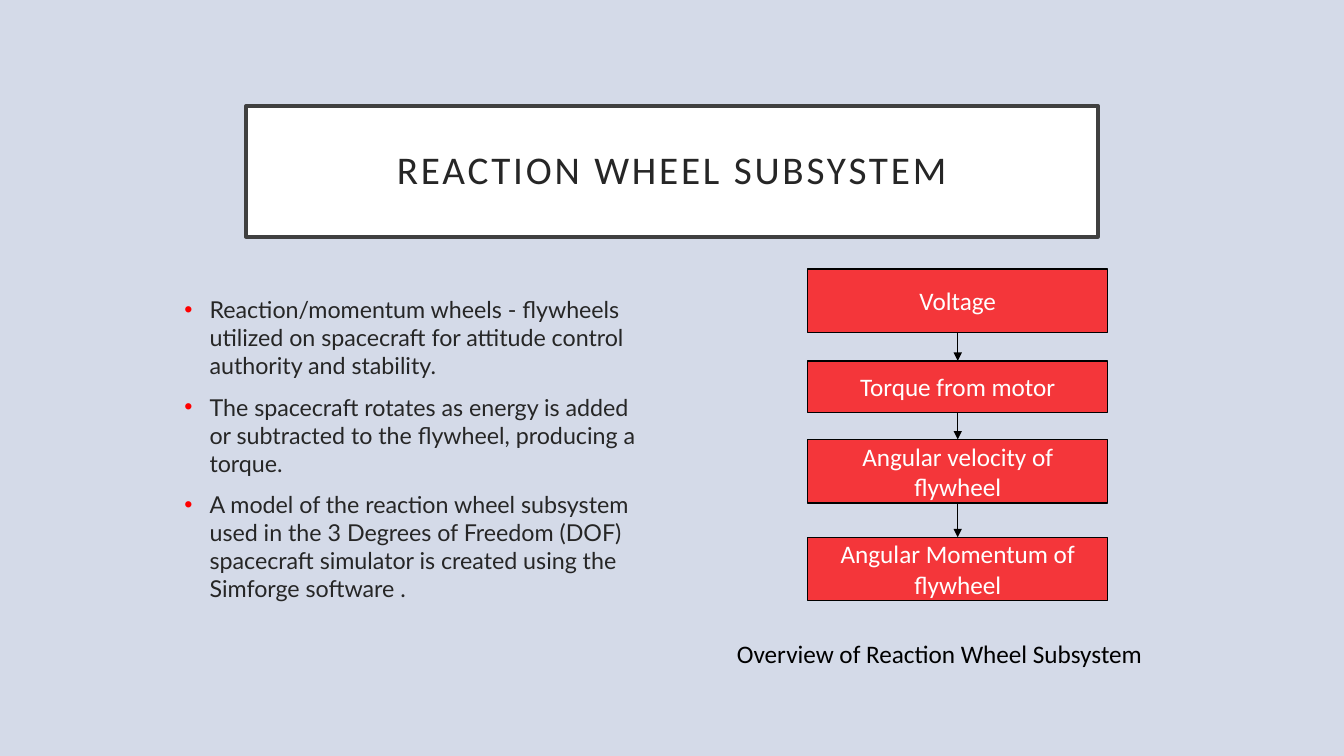
"""Build the reaction wheel subsystem slide."""
from dataclasses import dataclass
from itertools import pairwise
from typing import Any

from lxml import etree
from pptx import Presentation
from pptx import util as u
from pptx.dml.color import RGBColor
from pptx.enum import shapes, text
from pptx.oxml import ns

COLOURS = {
    "page": "D4DAE8", "panel": "FFFFFF", "frame": "404040", "ink": "262626",
    "accent": "FF0000", "black": "000000", "white": "FFFFFF",
}
WIDTH, HEIGHT = u.Inches(13.33), u.Inches(7.5)
STEP_LEFT, STEP_WIDTH = 60.1, 22.32


@dataclass(frozen=True)
class Area:
    """A rectangle in percent of the slide's width and height."""
    left: float
    top: float
    width: float
    height: float

    def emu(self) -> tuple[int, int, int, int]:
        """Return the position and size in slide units."""
        return (across(self.left), down(self.top),
                across(self.width), down(self.height))


@dataclass(frozen=True)
class Step:
    """One box of the signal chain, placed by percent of slide height."""
    label: str
    top: float
    height: float


@dataclass(frozen=True)
class Style:
    """Character look and paragraph alignment of a text."""
    name: str
    size: float
    colour: str
    align: Any = text.PP_ALIGN.LEFT


TITLE_AREA = Area(18.3, 14, 63.4, 17.33)
BODY_AREA = Area(12.98, 38.4, 35.03, 45.2)
CAPTION_AREA = Area(54.09, 83.73, 32.41, 5.33)

TITLE_STYLE = Style("Calibri", 28, "ink", text.PP_ALIGN.CENTER)
BODY_STYLE = Style("Lato", 16.6, "ink")
CAPTION_STYLE = Style("Calibri", 18, "black")
STEP_STYLE = Style("Calibri", 18, "white", text.PP_ALIGN.CENTER)

POINTS = [
    "Reaction/momentum wheels - flywheels utilized on spacecraft for attitude "
    "control authority and stability.",
    "The spacecraft rotates as energy is added or subtracted to the flywheel, "
    "producing a torque.",
    "A model of the reaction wheel subsystem used in the 3 Degrees of Freedom "
    "(DOF) spacecraft simulator is created using the Simforge software .",
]
STEPS = [
    Step("Voltage", 35.6, 8.4),
    Step("Torque from motor", 47.73, 6.8),
    Step("Angular velocity of flywheel", 58.13, 8.4),
    Step("Angular Momentum of flywheel", 71.07, 8.4),
]


def across(percent: float) -> int:
    """Convert a share of the slide's width."""
    return round(WIDTH * percent / 100)


def down(percent: float) -> int:
    """Convert a share of the slide's height."""
    return round(HEIGHT * percent / 100)


def colour(name: str) -> RGBColor:
    """Look up a named colour."""
    return RGBColor.from_string(COLOURS[name])


def apply(target: Any, values: dict[str, Any]) -> None:
    """Set every attribute given in a dict."""
    for name, value in values.items():
        setattr(target, name, value)


def add_element(parent: Any, tag: str, **attributes: str) -> Any:
    """Append a drawing element to a parent element."""
    return etree.SubElement(parent, ns.qn(tag), attributes)


def write(para: Any, words: str, style: Style) -> Any:
    """Put one styled run into a paragraph and return it."""
    para.alignment = style.align
    span = para.add_run()
    span.text = words
    apply(span.font, {"name": style.name, "size": u.Pt(style.size)})
    span.font.color.rgb = colour(style.colour)
    return span


def add_panel(page: Any, area: Area, fill: str, line: str, weight: float) -> Any:
    """Draw a rectangle with vertically centred, wrapped text."""
    box = page.shapes.add_shape(shapes.MSO_SHAPE.RECTANGLE, *area.emu())
    box.shadow.inherit = False
    box.fill.solid()
    box.fill.fore_color.rgb = colour(fill)
    box.line.color.rgb = colour(line)
    box.line.width = u.Pt(weight)
    apply(box.text_frame, {"word_wrap": True,
                           "vertical_anchor": text.MSO_ANCHOR.MIDDLE})
    return box


def add_title(page: Any) -> None:
    """Draw the framed title."""
    frame = add_panel(page, TITLE_AREA, "panel", "frame", 2.5).text_frame
    sides = ("left", "top", "right", "bottom")
    apply(frame, {f"margin_{side}": u.Inches(0.2) for side in sides})
    para = frame.paragraphs[0]
    para.line_spacing = 0.9
    span = write(para, "REACTION WHEEL SUBSYSTEM", TITLE_STYLE)
    span.font._element.set("spc", "200")


def add_points(page: Any) -> None:
    """Write the bulleted explanation."""
    frame = page.shapes.add_textbox(*BODY_AREA.emu()).text_frame
    frame.word_wrap = True
    for index, words in enumerate(POINTS):
        para = frame.add_paragraph() if index else frame.paragraphs[0]
        para.space_before = u.Pt(10 if index else 0)
        props = para._p.get_or_add_pPr()
        indent = u.Inches(0.25)
        props.set("marL", str(indent))
        props.set("indent", str(-indent))
        add_element(add_element(props, "a:buClr"), "a:srgbClr",
                    val=COLOURS["accent"])
        add_element(props, "a:buFont", typeface="Arial")
        add_element(props, "a:buChar", char="•")
        write(para, words, BODY_STYLE)


def add_caption(page: Any) -> None:
    """Write the caption under the chain."""
    frame = page.shapes.add_textbox(*CAPTION_AREA.emu()).text_frame
    apply(frame, {"word_wrap": False,
                  "auto_size": text.MSO_AUTO_SIZE.SHAPE_TO_FIT_TEXT})
    write(frame.paragraphs[0], "Overview of Reaction Wheel Subsystem",
          CAPTION_STYLE)


def add_step(page: Any, step: Step) -> None:
    """Draw one translucent box of the chain."""
    area = Area(STEP_LEFT, step.top, STEP_WIDTH, step.height)
    box = add_panel(page, area, "accent", "black", 1)
    tint = box._element.spPr.find(ns.qn("a:solidFill"))[0]
    add_element(tint, "a:alpha", val="75000")
    write(box.text_frame.paragraphs[0], step.label, STEP_STYLE)


def add_arrow(page: Any, upper: Step, lower: Step) -> None:
    """Link two consecutive boxes with an arrow."""
    middle = across(STEP_LEFT + STEP_WIDTH / 2)
    arrow = page.shapes.add_connector(
        shapes.MSO_CONNECTOR.STRAIGHT,
        middle, down(upper.top + upper.height), middle, down(lower.top))
    arrow.line.color.rgb = colour("black")
    arrow.line.width = u.Pt(0.5)
    add_element(arrow.line._get_or_add_ln(), "a:tailEnd", type="triangle")
    add_element(arrow._element.spPr, "a:effectLst")


def main() -> None:
    """Assemble and save the deck."""
    deck = Presentation()
    apply(deck, {"slide_width": WIDTH, "slide_height": HEIGHT})
    page = deck.slides.add_slide(deck.slide_layouts[6])
    page.background.fill.solid()
    page.background.fill.fore_color.rgb = colour("page")
    add_title(page)
    add_points(page)
    add_caption(page)
    for step in STEPS:
        add_step(page, step)
    for upper, lower in pairwise(STEPS):
        add_arrow(page, upper, lower)
    deck.save("out.pptx")


if __name__ == "__main__":
    main()
